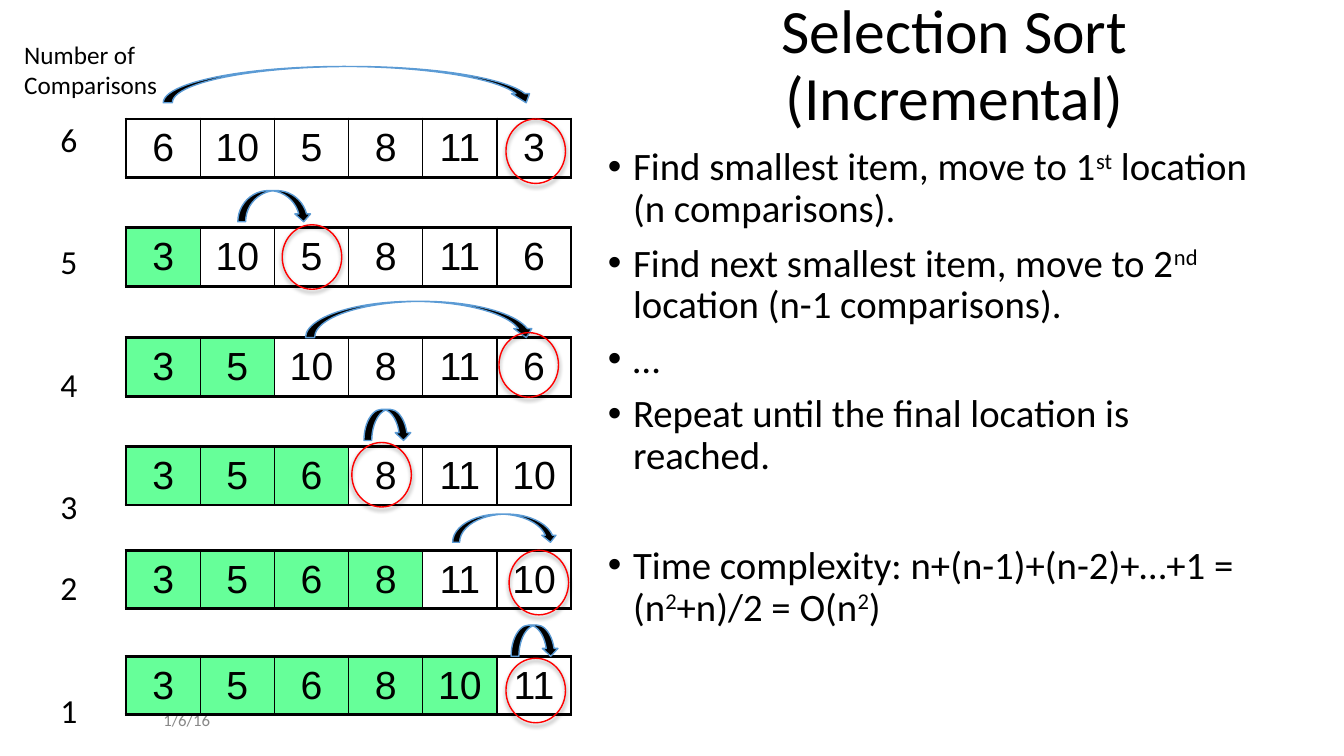
"""Build a slide that traces selection sort pass by pass."""
from dataclasses import dataclass

from lxml.etree import SubElement
from pptx import Presentation
from pptx.dml.color import RGBColor
from pptx.enum.shapes import MSO_SHAPE as Preset
from pptx.enum.text import MSO_ANCHOR as Anchor, MSO_AUTO_SIZE as AutoSize, PP_ALIGN as Align
from pptx.oxml import parse_xml
from pptx.oxml.ns import nsdecls, qn
from pptx.util import Emu, Inches, Pt

COLORS = {"ink": "000000", "date": "888888", "sorted": "66FF99", "unsorted": "FFFFFF",
          "arrow_edge": "5B9BD5", "circle": "FF0000"}
SLIDE_W, SLIDE_H = Inches(13.333), Inches(7.5)
ROW_LEFT, CELL_W, CELL_H = 9.38, 5.52, 7.73
CIRCLE_W, CIRCLE_H = 4.43, 8.53
COUNT_LINE = 29.3


@dataclass(frozen=True)
class Box:
    """Hold a position and size in percent of the slide."""
    left: float
    top: float
    width: float
    height: float

    def emu(self) -> tuple[Emu, Emu, Emu, Emu]:
        """Convert the percentages to slide lengths."""
        return (Emu(round(self.left * SLIDE_W / 100)), Emu(round(self.top * SLIDE_H / 100)),
                Emu(round(self.width * SLIDE_W / 100)), Emu(round(self.height * SLIDE_H / 100)))


@dataclass(frozen=True)
class Pass:
    """Describe one pass of the sort."""
    values: tuple[int, ...]
    top: float
    swap: Box
    smallest: tuple[float, float]
    lines_before_count: int


PASSES = (
    Pass((6, 10, 5, 8, 11, 3), 15.73, Box(12.15, 8.8, 27.68, 4.8), (37.65, 15.73), 0),
    Pass((3, 10, 5, 8, 11, 6), 30.13, Box(17.7, 25.2, 5.48, 4.13), (21, 29.73), 2),
    Pass((3, 5, 10, 8, 11, 6), 44.67, Box(22.73, 39.87, 17.1, 4.8), (37.13, 44), 2),
    Pass((3, 5, 6, 8, 11, 10), 59.07, Box(27.08, 54.13, 3.53, 4.13), (26.18, 58.53), 2),
    Pass((3, 5, 6, 8, 11, 10), 72.8, Box(33.68, 68, 7.8, 3.73), (37.88, 72.8), 1),
    Pass((3, 5, 6, 8, 10, 11), 86.8, Box(38.03, 82.67, 3.53, 4.13), (37.65, 87.07), 2),
)
STEPS = (
    ("Find smallest item, move to 1^st^ location (n comparisons).", 9),
    ("Find next smallest item, move to 2^nd^ location (n-1 comparisons).", 9),
    ("…", 9),
    ("Repeat until the final location is reached.", 9),
    ("Time complexity: n+(n-1)+(n-2)+…+1 = (n^2^+n)/2 = O(n^2^)", 48.4),
)


def rgb(name: str) -> RGBColor:
    """Look up a colour by its role."""
    return RGBColor.from_string(COLORS[name])


def write(frame, text: str, *, size: float, font: str = "Calibri", color: str = "ink",
          align: Align = Align.LEFT, before: float = 0, spacing: float = 1.0,
          bullet: bool = False) -> None:
    """Add a paragraph, raising the parts between carets."""
    first = frame.paragraphs[0]
    paragraph = frame.add_paragraph() if first.runs else first
    paragraph.alignment, paragraph.line_spacing = align, spacing
    paragraph.space_before, paragraph.space_after = Pt(before), Pt(0)
    if bullet:
        properties = paragraph._p.get_or_add_pPr()
        properties.set("marL", str(Inches(0.25)))
        properties.set("indent", str(-Inches(0.25)))
        SubElement(properties, qn("a:buFont"), typeface="Arial")
        SubElement(properties, qn("a:buChar"), char="•")
    for index, part in enumerate(text.split("^")):
        run = paragraph.add_run()
        run.text = part
        run.font.size, run.font.name, run.font.color.rgb = Pt(size), font, rgb(color)
        if index % 2:
            run._r.get_or_add_rPr().set("baseline", "30000")


def prepare(holder, box: Box, *, inset: float = 0, wrap: bool = True,
            anchor: Anchor = Anchor.TOP):
    """Place a text holder and return its frame."""
    holder.left, holder.top, holder.width, holder.height = box.emu()
    frame = holder.text_frame
    frame.auto_size, frame.word_wrap, frame.vertical_anchor = AutoSize.NONE, wrap, anchor
    frame.margin_left = frame.margin_top = frame.margin_right = frame.margin_bottom = Inches(inset)
    return frame


def draw_outline(slide, preset: Preset, box: Box, edge: str):
    """Draw a preset shape with a thin edge and no shadow."""
    outline = slide.shapes.add_shape(preset, *box.emu())
    outline.shadow.inherit = False
    outline.line.color.rgb, outline.line.width = rgb(edge), Pt(1)
    return outline


def draw_swap(slide, box: Box) -> None:
    """Draw the curved arrow between swapped places."""
    arrow = draw_outline(slide, Preset.CURVED_DOWN_ARROW, box, "arrow_edge")
    arrow.fill.solid()
    arrow.fill.fore_color.rgb = rgb("ink")


def draw_circle(slide, left: float, top: float) -> None:
    """Circle the smallest remaining item."""
    circle = draw_outline(slide, Preset.OVAL, Box(left, top, CIRCLE_W, CIRCLE_H), "circle")
    circle.fill.background()
    circle._element.spPr.find(qn("a:effectLst")).append(parse_xml(
        f'<a:outerShdw {nsdecls("a")} blurRad="{Pt(3)}" dist="{Pt(2)}" dir="5400000" '
        f'rotWithShape="0"><a:srgbClr val="{COLORS["ink"]}"><a:alpha val="50000"/>'
        '</a:srgbClr></a:outerShdw>'))


def set_borders(cell, widths: dict[str, float]) -> None:
    """Give each side of a cell its line."""
    properties = cell._tc.get_or_add_tcPr()
    for index, (side, width) in enumerate(widths.items()):
        properties.insert(index, parse_xml(
            f'<a:ln{side} {nsdecls("a")} w="{Pt(width)}"><a:solidFill>'
            f'<a:srgbClr val="{COLORS["ink"]}"/></a:solidFill></a:ln{side}>'))


def draw_numbers(slide, numbers: tuple[int, ...], top: float, sorted_count: int) -> None:
    """Draw one pass as a row with its sorted part tinted."""
    box = Box(ROW_LEFT, top, CELL_W * len(numbers), CELL_H)
    table = slide.shapes.add_table(1, len(numbers), *box.emu()).table
    table.first_row = table.horz_banding = False
    last = len(numbers) - 1
    for index, number in enumerate(numbers):
        cell = table.cell(0, index)
        cell.vertical_anchor = Anchor.MIDDLE
        cell.margin_left = cell.margin_right = cell.margin_top = cell.margin_bottom = Inches(0.05)
        cell.fill.solid()
        cell.fill.fore_color.rgb = rgb("sorted" if index < sorted_count else "unsorted")
        set_borders(cell, {"L": 1 if index else 2.25, "R": 1 if index < last else 2.25,
                           "T": 2.25, "B": 2.25})
        write(cell.text_frame, str(number), size=28, font="Arial", align=Align.CENTER, before=6)


def add_text(slide, box: Box, **layout):
    """Add a text box and return its frame."""
    return prepare(slide.shapes.add_textbox(*box.emu()), box, **layout)


def main() -> None:
    """Build and save the slide."""
    deck = Presentation()
    deck.slide_width, deck.slide_height = SLIDE_W, SLIDE_H
    slide = deck.slides.add_slide(deck.slide_layouts[1])

    title = prepare(slide.shapes.title, Box(45.23, 1.73, 51.6, 14.27), anchor=Anchor.MIDDLE)
    write(title, "Selection Sort (Incremental)", size=44, align=Align.CENTER, spacing=0.9)
    steps = prepare(slide.placeholders[1], Box(45.23, 19.47, 48.83, 66))
    for step, gap in STEPS:
        write(steps, step, size=27.7, before=gap, spacing=0.9, bullet=True)

    date = add_text(slide, Box(12.15, 93.33, 22.5, 3.87), anchor=Anchor.MIDDLE)
    write(date, "1/6/16", size=12, color="date")
    counts = add_text(slide, Box(4.5, 15.73, 1.28, 80.8), wrap=False)
    for done, step in enumerate(PASSES):
        draw_numbers(slide, step.values, step.top, done)
        write(counts, str(len(PASSES) - done), size=24,
              before=step.lines_before_count * COUNT_LINE)
    heading = add_text(slide, Box(1.43, 4.53, 10.73, 9.47), inset=0.05, wrap=False)
    for line in ("Number of", "Comparisons"):
        write(heading, line, size=18)
    for step in PASSES:
        draw_swap(slide, step.swap)
        draw_circle(slide, *step.smallest)

    deck.save("out.pptx")


if __name__ == "__main__":
    main()
